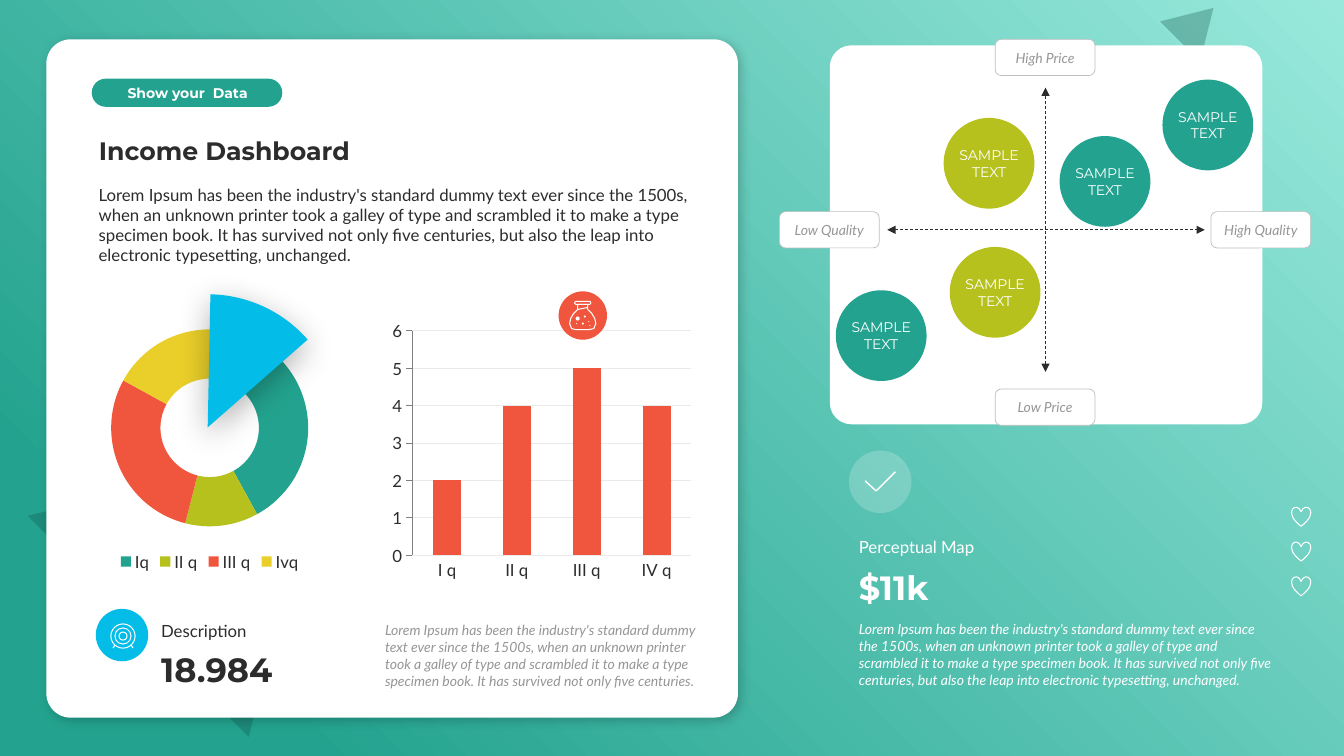
from lxml import etree
from pptx import Presentation
from pptx.chart.data import CategoryChartData
from pptx.dml.color import RGBColor
from pptx.enum.chart import XL_CHART_TYPE as ChartType, XL_LEGEND_POSITION as LegendPosition
from pptx.enum.chart import XL_TICK_MARK as TickMark
from pptx.enum.dml import MSO_LINE as Dash
from pptx.enum.shapes import MSO_CONNECTOR as Connector, MSO_SHAPE as Shape
from pptx.enum.text import MSO_ANCHOR as Anchor, MSO_AUTO_SIZE as AutoSize, PP_ALIGN as Align
from pptx.oxml.ns import qn
from pptx.util import Inches, Pt

COLORS = {
    "white": "FFFFFF", "ink": "2C2C2C", "gray": "969696", "border": "BFBFBF",
    "teal": "23A38F", "mint": "98E9DC", "forest": "115248", "lime": "B7C11E",
    "coral": "F0563D", "yellow": "EACF2A", "sky": "03BCE7", "black": "000000",
    "grid": "EAEAEA", "axis": "808080",
}
FONTS = {
    "heading": {"name": "Montserrat", "size": Pt(18), "bold": True},
    "figure": {"name": "Montserrat", "size": Pt(24), "bold": True},
    "badge": {"name": "Montserrat", "size": Pt(10), "bold": True},
    "bubble": {"name": "Montserrat", "size": Pt(10)},
    "body": {"name": "Lato", "size": Pt(12)},
    "small": {"name": "Lato", "size": Pt(10)},
    "note": {"name": "Lato", "size": Pt(10), "italic": True},
}
LOREM = (
    "Lorem Ipsum has been the industry's standard dummy text ever since the 1500s, when an unknown "
    "printer took a galley of type and scrambled it to make a type specimen book. "
    "It has survived not only five centuries"
)
LONG_LOREM = LOREM + ", but also the leap into electronic typesetting, unchanged."
FLASK = [
    (5.73, 3.02), (5.73, 3.07), (5.69, 3.11), (5.66, 3.16), (5.65, 3.21), (5.67, 3.26), (5.71, 3.27),
    (5.84, 3.27), (5.89, 3.26), (5.91, 3.21), (5.9, 3.16), (5.87, 3.11), (5.83, 3.07), (5.83, 3.02),
]
FLASK_BUBBLES = [(5.73, 3.16, 0.04), (5.8, 3.14, 0.02), (5.78, 3.21, 0.02),
                 (5.72, 3.21, 0.01), (5.84, 3.19, 0.01), (5.85, 3.23, 0.01)]


def rgb(color):
    """Return the named colour."""
    return RGBColor.from_string(COLORS[color])


def style_font(font, style, color):
    """Apply a named font style and colour."""
    for attribute, value in FONTS[style].items():
        setattr(font, attribute, value)
    font.color.rgb = rgb(color)


def write(shape, text, style, color, **frame_format):
    """Write one styled paragraph into a shape."""
    align = frame_format.pop("align", Align.LEFT)
    space_after = frame_format.pop("space_after", 0)
    frame = shape.text_frame
    frame.text = text
    for attribute, value in {"word_wrap": True, **frame_format}.items():
        setattr(frame, attribute, value)
    paragraph = frame.paragraphs[0]
    paragraph.alignment = align
    paragraph.space_after = Pt(space_after)
    style_font(paragraph.runs[0].font, style, color)


def add_text(slide, box, text, style, color, **frame_format):
    """Add a wrapping text box that fits its text."""
    shape = slide.shapes.add_textbox(*map(Inches, box))
    write(shape, text, style, color, auto_size=AutoSize.SHAPE_TO_FIT_TEXT, **frame_format)


def paint(shape, fill=None, line=None, width=0.75, alpha=None):
    """Set fill, outline and transparency, with no shadow."""
    shape.shadow.inherit = False
    if fill:
        shape.fill.solid()
        shape.fill.fore_color.rgb = rgb(fill)
    else:
        shape.fill.background()
    if alpha:
        color = shape.element.spPr.find(qn("a:solidFill"))[0]
        etree.SubElement(color, qn("a:alpha"), val=str(alpha * 1000))
    if line:
        shape.line.color.rgb = rgb(line)
        shape.line.width = Pt(width)
    else:
        shape.line.fill.background()


def add_shape(slide, kind, box, fill=None, adjustments=(), **look):
    """Add a painted preset shape."""
    shape = slide.shapes.add_shape(kind, *map(Inches, box))
    for index, value in enumerate(adjustments):
        shape.adjustments[index] = value
    paint(shape, fill, **look)
    return shape


def add_circle(slide, center_x, center_y, radius, fill=None, **look):
    """Add a circle around its centre."""
    box = (center_x - radius, center_y - radius, 2 * radius, 2 * radius)
    return add_shape(slide, Shape.OVAL, box, fill, **look)


def add_outline(slide, points, closed=False, width=0.75):
    """Add a white outline through the points."""
    corners = [(Inches(x), Inches(y)) for x, y in points]
    builder = slide.shapes.build_freeform(*corners[0])
    builder.add_line_segments(corners[1:], close=closed)
    paint(builder.convert_to_shape(), line="white", width=width)


def add_shadow(shape, alpha, blur, distance, angle):
    """Give a shape a soft outer shadow."""
    effects = shape.element.spPr.find(qn("a:effectLst"))
    shadow = etree.SubElement(effects, qn("a:outerShdw"), blurRad=str(Pt(blur)), dist=str(Pt(distance)),
                              dir=str(angle * 60000), algn="ctr", rotWithShape="0")
    color = etree.SubElement(shadow, qn("a:srgbClr"), val=COLORS["black"])
    etree.SubElement(color, qn("a:alpha"), val=str(alpha * 1000))


def add_axis_arrow(slide, start_x, start_y, end_x, end_y):
    """Add a dashed line with an arrowhead at both ends."""
    ends = map(Inches, (start_x, start_y, end_x, end_y))
    connector = slide.shapes.add_connector(Connector.STRAIGHT, *ends)
    connector.line.color.rgb = rgb("ink")
    connector.line.width = Pt(0.5)
    connector.line.dash_style = Dash.DASH
    properties = connector.element.spPr
    for end in ("a:headEnd", "a:tailEnd"):
        etree.SubElement(properties.find(qn("a:ln")), qn(end), type="triangle")
    etree.SubElement(properties, qn("a:effectLst"))


def add_background(slide):
    """Add the corner gradient and its two triangles."""
    shape = add_shape(slide, Shape.RECTANGLE, (0, 0, 13.33, 7.5))
    shape.fill.gradient()
    for stop, color, position in zip(shape.fill.gradient_stops, ("mint", "teal"), (0, 0.85)):
        stop.color.rgb = rgb(color)
        stop.position = position
    gradient = shape.element.spPr.find(qn("a:gradFill"))
    gradient.remove(gradient.find(qn("a:lin")))
    corner = etree.SubElement(gradient, qn("a:path"), path="circle")
    etree.SubElement(corner, qn("a:fillToRect"), l="100000", b="100000")
    for box in ((0.73, 4.02, 3.1, 2.57), (11.59, 0.01, 0.56, 0.47)):
        add_shape(slide, Shape.ISOSCELES_TRIANGLE, box, "forest", alpha=30).rotation = 45


def add_chart(slide, kind, box, categories, values, style):
    """Add a chart of one series and return it."""
    data = CategoryChartData()
    data.categories = categories
    data.add_series("Series 1", values)
    chart = slide.shapes.add_chart(kind, *map(Inches, box), data).chart
    chart.has_title = False
    chart.has_legend = False
    style_font(chart.font, style, "ink")
    return chart


def add_doughnut(slide):
    """Add the quarter doughnut and its raised wedge."""
    chart = add_chart(slide, ChartType.DOUGHNUT, (0.66, 3.13, 2.84, 2.58),
                      ["Iq", "II q", "III q", "Ivq"], [42, 12, 29, 17], "small")
    chart.has_legend = True
    chart.legend.position = LegendPosition.BOTTOM
    chart.legend.include_in_layout = False
    style_font(chart.legend.font, "body", "ink")
    for index, color in enumerate(("teal", "lime", "coral", "yellow")):
        point = chart.plots[0].series[0].points[index]
        point.format.fill.solid()
        point.format.fill.fore_color.rgb = rgb(color)
        point.format.line.fill.background()
    wedge = add_shape(slide, Shape.ARC, (0.74, 2.92, 2.64, 2.64), "sky", (162.715, 191.224))
    add_shadow(wedge, 30, 23, 6, 90)


def add_columns(slide):
    """Add the quarter column chart."""
    chart = add_chart(slide, ChartType.COLUMN_CLUSTERED, (3.83, 3.13, 3.09, 2.67),
                      ["I q", "II q", "III q", "IV q"], [2, 4, 5, 4], "body")
    plot = chart.plots[0]
    plot.gap_width = 150
    plot.vary_by_categories = False
    plot.series[0].format.fill.solid()
    plot.series[0].format.fill.fore_color.rgb = rgb("coral")
    chart.category_axis.major_tick_mark = TickMark.NONE
    chart.category_axis.format.line.fill.background()
    axis_format = {"minimum_scale": 0, "maximum_scale": 6, "major_unit": 1, "major_tick_mark": TickMark.OUTSIDE}
    for attribute, value in axis_format.items():
        setattr(chart.value_axis, attribute, value)
    chart.value_axis.format.line.color.rgb = rgb("axis")
    grid = chart.value_axis.major_gridlines.format.line
    grid.color.rgb = rgb("grid")
    grid.width = Pt(0.75)


def add_title(slide):
    """Place the title above the panel."""
    title = slide.shapes.title
    slide.shapes.element.append(title.element)
    for attribute, value in zip(("left", "top", "width", "height"), (0.88, 1.29, 6.16, 0.4)):
        setattr(title, attribute, Inches(value))
    write(title, "Income Dashboard", "heading", "ink", vertical_anchor=Anchor.BOTTOM,
          auto_size=AutoSize.SHAPE_TO_FIT_TEXT)


def add_icons(slide):
    """Add the target, flask, check mark and hearts."""
    add_circle(slide, 1.21, 6.3, 0.26, "sky")
    for radius in (0.04, 0.08, 0.12):
        add_circle(slide, 1.22, 6.31, radius, line="white")
    for side in (-1, 1):
        add_outline(slide, [(1.22 + side * 0.08, 6.4), (1.22 + side * 0.1, 6.43)])
    add_circle(slide, 5.78, 3.13, 0.24, "coral")
    add_shape(slide, Shape.ROUNDED_RECTANGLE, (5.7, 2.99, 0.16, 0.03), None, (0.5,), line="white")
    add_outline(slide, FLASK, closed=True)
    add_outline(slide, [(5.73, 3.07), (5.78, 3.06), (5.83, 3.05)])
    for x, y, radius in FLASK_BUBBLES:
        add_circle(slide, x, y, radius / 2, "white")
    add_circle(slide, 8.73, 4.78, 0.31, "white", alpha=20)
    add_outline(slide, [(8.58, 4.77), (8.69, 4.87), (8.88, 4.68)], width=1)
    for index in range(3):
        add_shape(slide, Shape.HEART, (12.81, 5.03 + index * 0.69 / 2, 0.19, 0.19), line="white")


def add_perceptual_map(slide):
    """Add the price and quality map."""
    add_shape(slide, Shape.ROUNDED_RECTANGLE, (8.23, 0.45, 4.29, 3.76), "white", (0.057,))
    add_axis_arrow(slide, 8.8, 2.28, 11.95, 2.28)
    add_axis_arrow(slide, 10.37, 3.69, 10.37, 0.87)
    for text, left, top in (("High Price", 9.87, 0.39), ("Low Price", 9.87, 3.86),
                            ("Low Quality", 7.73, 2.1), ("High Quality", 12.01, 2.1)):
        label = add_shape(slide, Shape.ROUNDED_RECTANGLE, (left, top, 0.99, 0.36), "white", line="border", width=0.5)
        write(label, text, "note", "gray", align=Align.CENTER, vertical_anchor=Anchor.MIDDLE)
    for left, top, color in ((9.36, 1.17, "lime"), (9.42, 2.45, "lime"), (8.29, 2.88, "teal"),
                             (10.51, 1.35, "teal"), (11.53, 0.79, "teal")):
        bubble = add_shape(slide, Shape.OVAL, (left, top, 0.9, 0.9), color)
        write(bubble, "SAMPLE TEXT", "bubble", "white", align=Align.CENTER,
              vertical_anchor=Anchor.MIDDLE, margin_left=0, margin_right=0)


def add_texts(slide):
    """Add the badge, figures and paragraphs."""
    add_shape(slide, Shape.ROUNDED_RECTANGLE, (0.91, 0.78, 1.89, 0.28), "teal", (0.5,))
    add_text(slide, (0.99, 0.79, 1.74, 0.27), "Show your  Data", "badge", "white",
             align=Align.CENTER, vertical_anchor=Anchor.MIDDLE)
    for box, text, style, color in (((0.88, 1.78, 6.16, 0.91), LONG_LOREM, "body", "ink"),
                                    ((3.72, 6.12, 3.32, 0.77), LOREM + ".", "note", "gray"),
                                    ((8.42, 6.11, 4.34, 0.77), LONG_LOREM, "note", "white")):
        add_text(slide, box, text, style, color, space_after=6)
    for box, text, style, color in (((1.5, 6.11, 1.86, 0.3), "Description", "body", "ink"),
                                    ((1.5, 6.39, 1.86, 0.5), "18.984", "figure", "ink"),
                                    ((8.42, 5.27, 4.34, 0.3), "Perceptual Map", "body", "white"),
                                    ((8.42, 5.57, 4.34, 0.5), "$11k", "figure", "white")):
        add_text(slide, box, text, style, color, vertical_anchor=Anchor.BOTTOM)


def main():
    """Build the dashboard slide and save it."""
    presentation = Presentation()
    presentation.slide_width, presentation.slide_height = Inches(13.33), Inches(7.5)
    slide = presentation.slides.add_slide(presentation.slide_layouts[5])
    add_background(slide)
    panel = add_shape(slide, Shape.ROUNDED_RECTANGLE, (0.46, 0.39, 6.86, 6.73), "white", (0.036,))
    add_shadow(panel, 20, 8, 3, 45)
    for add_part in (add_title, add_texts, add_doughnut, add_columns, add_perceptual_map, add_icons):
        add_part(slide)
    presentation.save("out.pptx")


if __name__ == "__main__":
    main()
